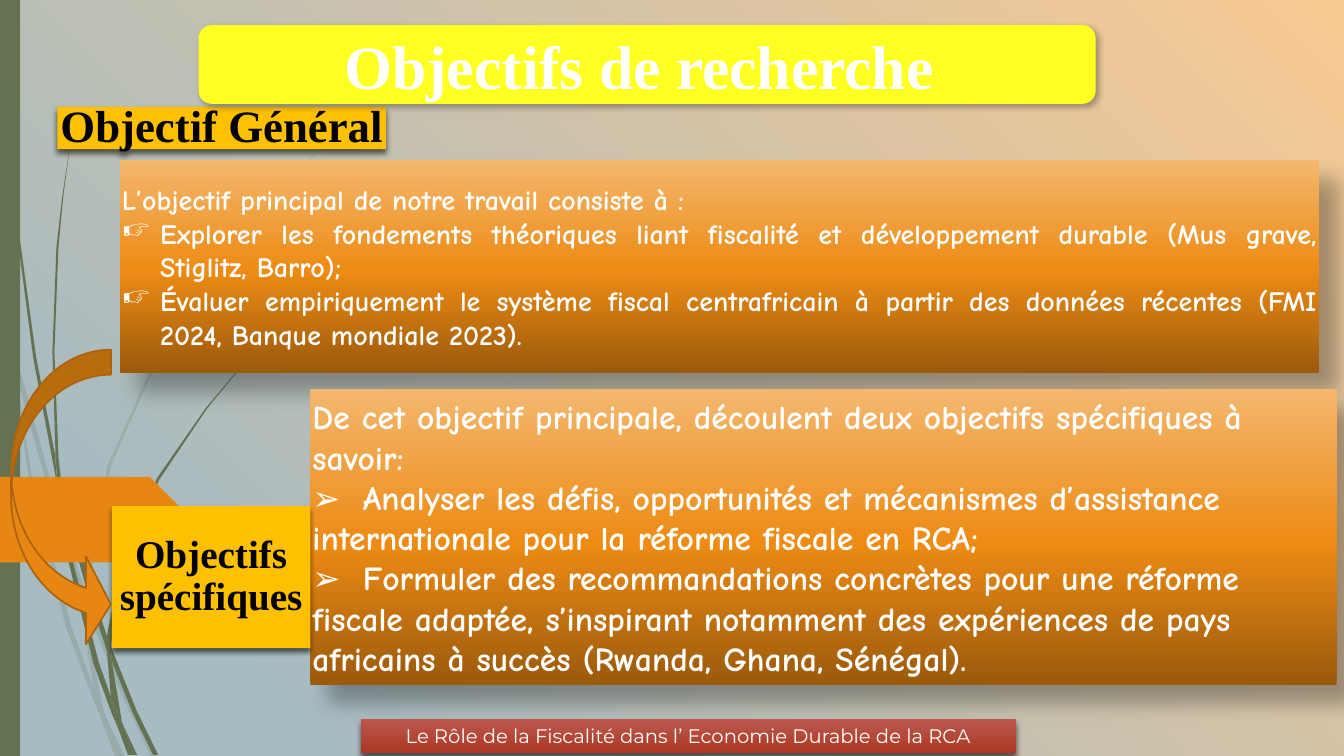
from lxml import etree
from pptx import Presentation
from pptx import util as u
from pptx.dml.color import RGBColor
from pptx.enum import shapes, text
from pptx.oxml.ns import qn

WHITE = RGBColor(255, 255, 255)
BLACK = RGBColor(0, 0, 0)
OLIVE = RGBColor(0x64, 0x72, 0x52)
ORANGE = RGBColor(0xE7, 0x87, 0x12)
BROWN = RGBColor(0xAB, 0x64, 0x0D)
AMBER = RGBColor(0xFF, 0xC0, 0x00)
YELLOW = RGBColor(0xFF, 0xFF, 0x22)
PEACH = RGBColor(0xF7, 0xC9, 0x92)
MIST = RGBColor(0xA6, 0xBB, 0xC2)
PANEL = [(0, RGBColor(0x9B, 0x5A, 0x0C)), (48, RGBColor(0xED, 0x8B, 0x14)),
         (100, RGBColor(0xF4, 0xB7, 0x6E))]
BRICK = [(0, RGBColor(0xBD, 0x59, 0x4E)), (100, RGBColor(0xAB, 0x38, 0x23))]

CELL = u.Inches(0.01)
COLUMNS, ROWS = 1333.33, 750
LABEL_SHADOW = (60, 4, 3, 90)
PANEL_SHADOW = (30, 15, 18, 45)
TITLE_SHADOW = (30, 4.5, 2.6, 53)
SERIF, HAND, SANS = "Times New Roman", "Comic Neue", "Montserrat"

PALE_WISPS = [
    [(11, 350), (9, 322), (0, 282), (0, 299), (10, 344)],
    [(58, 522), (84, 599), (85, 586), (62, 520), (14, 345), (17, 376)],
    [(92, 607), (88, 596), (88, 610), (123, 694), (150, 751), (155, 751), (127, 692)],
    [(119, 751), (124, 751), (105, 711)],
    [(93, 683), (70, 619), (31, 469), (17, 376), (11, 350), (28, 470), (65, 621),
     (92, 693), (101, 714), (99, 707)],
    [(84, 599), (87, 646), (93, 683), (96, 692), (105, 711), (103, 706), (91, 646),
     (88, 610), (88, 608)],
    [(88, 584), (110, 462), (160, 349), (229, 245), (268, 198), (290, 175), (312, 154),
     (312, 153), (289, 175), (268, 197), (228, 244), (158, 348), (107, 461), (85, 584),
     (85, 586), (88, 596)],
    [(101, 714), (114, 751), (119, 751)],
    [(88, 608), (88, 610), (88, 596), (85, 586), (84, 599)],
    [(96, 692), (93, 683), (99, 707), (101, 714), (119, 751), (105, 711)],
]
DARK_WISPS = [
    [(7, 110), (17, 233), (33, 355), (56, 477), (57, 481), (55, 457), (55, 453),
     (36, 355), (19, 232), (8, 109), (5, 48), (4, 0), (3, 0), (4, 48)],
    [(88, 592), (106, 645), (106, 633), (106, 631), (93, 590), (60, 472), (64, 505)],
    [(113, 649), (110, 641), (111, 656), (132, 708), (152, 749), (157, 749), (136, 706)],
    [(110, 691), (98, 657), (72, 556), (64, 505), (57, 477), (68, 557), (93, 659),
     (111, 708), (117, 722), (116, 717)],
    [(60, 472), (58, 453), (54, 349), (58, 245), (63, 193), (70, 141), (62, 193),
     (56, 245), (52, 349), (55, 449)],
    [(133, 749), (136, 749), (122, 719)],
    [(57, 477), (64, 505), (60, 472), (55, 449), (55, 453)],
    [(111, 633), (125, 552), (158, 476), (205, 406), (231, 374), (245, 359), (261, 344),
     (260, 344), (245, 358), (231, 373), (204, 405), (156, 474), (122, 551), (106, 631),
     (110, 641)],
    [(117, 722), (127, 749), (131, 749)],
    [(106, 645), (110, 691), (116, 706), (122, 719), (121, 716), (111, 656), (109, 651)],
    [(106, 645), (109, 651), (111, 656), (110, 641), (106, 631), (106, 633)],
    [(116, 706), (110, 691), (116, 717), (117, 722), (130, 749), (133, 749), (122, 719)],
]


def add_child(parent, tag, **attributes):
    """Append a drawing element to its parent."""
    return etree.SubElement(parent, qn(tag), {k: str(v) for k, v in attributes.items()})


class Slide:
    """Hold the page, its grid and the style of its elements."""

    def __init__(self, deck):
        """Open a blank page with the gradient backdrop."""
        deck.slide_width, deck.slide_height = int(COLUMNS * CELL), ROWS * CELL
        self.page = deck.slides.add_slide(deck.slide_layouts[6])
        backdrop = self.page.background.fill
        self.blend(backdrop, self.page.element, [(0, PEACH), (85, MIST)], 225)

    def blend(self, fill, element, stops, angle):
        """Apply a linear gradient, its angle counted anticlockwise."""
        fill.gradient()
        fill.gradient_angle = angle
        stop_list = next(element.iter(qn("a:gsLst")))
        for old in list(stop_list):
            stop_list.remove(old)
        for place, color in stops:
            stop = add_child(stop_list, "a:gs", pos=place * 1000)
            add_child(stop, "a:srgbClr", val=color)

    def finish(self, shape, fill, angle=90, shadow=None):
        """Give a shape its fill and shadow, without outline."""
        if isinstance(fill, list):
            self.blend(shape.fill, shape.element, fill, angle)
        else:
            shape.fill.solid()
            shape.fill.fore_color.rgb = fill
        shape.line.fill.background()
        shape.shadow.inherit = False
        if shadow:
            opacity, blur, distance, direction = shadow
            effects = next(shape.element.iter(qn("a:effectLst")))
            outer = add_child(effects, "a:outerShdw", blurRad=u.Pt(blur), dist=u.Pt(distance),
                              dir=direction * 60000, algn="ctr", rotWithShape=0)
            tint = add_child(outer, "a:srgbClr", val=BLACK)
            add_child(tint, "a:alpha", val=opacity * 1000)

    def wisp(self, points, opacity):
        """Draw one blade of grass."""
        builder = self.page.shapes.build_freeform(*points[0], scale=CELL)
        builder.add_line_segments(points[1:])
        blade = builder.convert_to_shape()
        self.finish(blade, OLIVE)
        if opacity < 100:
            tint = next(blade.element.spPr.iter(qn("a:srgbClr")))
            add_child(tint, "a:alpha", val=opacity * 1000)

    def box(self, kind, place, fill, **style):
        """Draw a preset shape on the grid."""
        shape = self.page.shapes.add_shape(kind, *(value * CELL for value in place))
        self.finish(shape, fill, **style)
        return shape

    def label(self, box, lines, font, size, color=WHITE, bold=True, inset=2,
              align=text.PP_ALIGN.CENTER, spacing=None, bullet=None, tab=None):
        """Fill a box with paragraphs, bulleted after the first."""
        frame = box.text_frame
        frame.word_wrap = True
        frame.vertical_anchor = text.MSO_ANCHOR.MIDDLE
        frame.margin_left = frame.margin_right = inset * CELL
        frame.margin_top = frame.margin_bottom = 2 * CELL
        for index, line in enumerate(lines):
            para = frame.paragraphs[0] if index == 0 else frame.add_paragraph()
            para.text = line
            para.alignment = align
            if spacing:
                para.line_spacing = spacing
            properties = para._p.get_or_add_pPr()
            if bullet and index:
                properties.set("marL", str(38 * CELL))
                properties.set("indent", str(-38 * CELL))
                add_child(properties, "a:buChar", char=bullet)
            if tab and index:
                stops = add_child(properties, "a:tabLst")
                add_child(stops, "a:tab", pos=tab * CELL, algn="l")
            para.font.name = font
            para.font.size = u.Pt(size)
            para.font.bold = bold
            para.font.color.rgb = color


def main():
    """Build the slide on research objectives."""
    deck = Presentation()
    slide = Slide(deck)
    kinds = shapes.MSO_SHAPE
    for wisps, opacity in ((PALE_WISPS, 20), (DARK_WISPS, 100)):
        for points in wisps:
            slide.wisp(points, opacity)
    slide.box(kinds.RECTANGLE, (0, 0, 20, ROWS), OLIVE)
    slide.box(kinds.PENTAGON, (0, 473, 191, 85), ORANGE)

    general = slide.box(kinds.RECTANGLE, (57, 106, 326, 42), AMBER, shadow=LABEL_SHADOW)
    slide.label(general, ["Objectif Général"], SERIF, 32, BLACK, spacing=0.9)
    main_goal = slide.box(kinds.RECTANGLE, (119, 159, 1190, 211), PANEL, shadow=PANEL_SHADOW)
    slide.label(main_goal, [
        "L’objectif principal de notre travail consiste à :",
        "Explorer les fondements théoriques liant fiscalité et développement durable "
        "(Mus grave, Stiglitz, Barro);",
        "Évaluer empiriquement le système fiscal centrafricain à partir des données "
        "récentes (FMI 2024, Banque mondiale 2023).",
    ], HAND, 20, align=text.PP_ALIGN.JUSTIFY, bullet="☞")
    goals = slide.box(kinds.RECTANGLE, (308, 386, 1018, 294), PANEL, shadow=PANEL_SHADOW)
    slide.label(goals, [
        "De cet objectif principale, découlent deux objectifs spécifiques à savoir:",
        "➢\tAnalyser les défis, opportunités et mécanismes d’assistance internationale "
        "pour la réforme fiscale en RCA;",
        "➢\tFormuler des recommandations concrètes pour une réforme fiscale adaptée, "
        "s’inspirant notamment des expériences de pays africains à succès "
        "(Rwanda, Ghana, Sénégal).",
    ], HAND, 24, align=text.PP_ALIGN.LEFT, tab=50)
    specific = slide.box(kinds.RECTANGLE, (111, 502, 197, 141), AMBER, shadow=LABEL_SHADOW)
    slide.label(specific, ["Objectifs spécifiques"], SERIF, 28, BLACK, spacing=0.9)

    arrow = slide.box(kinds.CURVED_RIGHT_ARROW, (11, 347, 99, 296), ORANGE)
    for index, value in enumerate((0.25, 0.88, 0.25)):
        arrow.adjustments[index] = value
    arrow.line.color.rgb = BROWN
    arrow.line.width = u.Pt(1.25)

    title = slide.box(kinds.FLOWCHART_ALTERNATE_PROCESS, (197, 25, 890, 78), YELLOW,
                      shadow=TITLE_SHADOW)
    slide.label(title, ["Objectifs de recherche "], SERIF, 44, inset=10)
    footer = slide.box(kinds.RECTANGLE, (358, 713, 650, 34), BRICK, angle=270,
                       shadow=LABEL_SHADOW)
    slide.label(footer, ["Le Rôle de la Fiscalité dans l’ Economie Durable de la RCA"],
                SANS, 14, bold=False, inset=10)
    deck.save("out.pptx")


if __name__ == "__main__":
    main()
